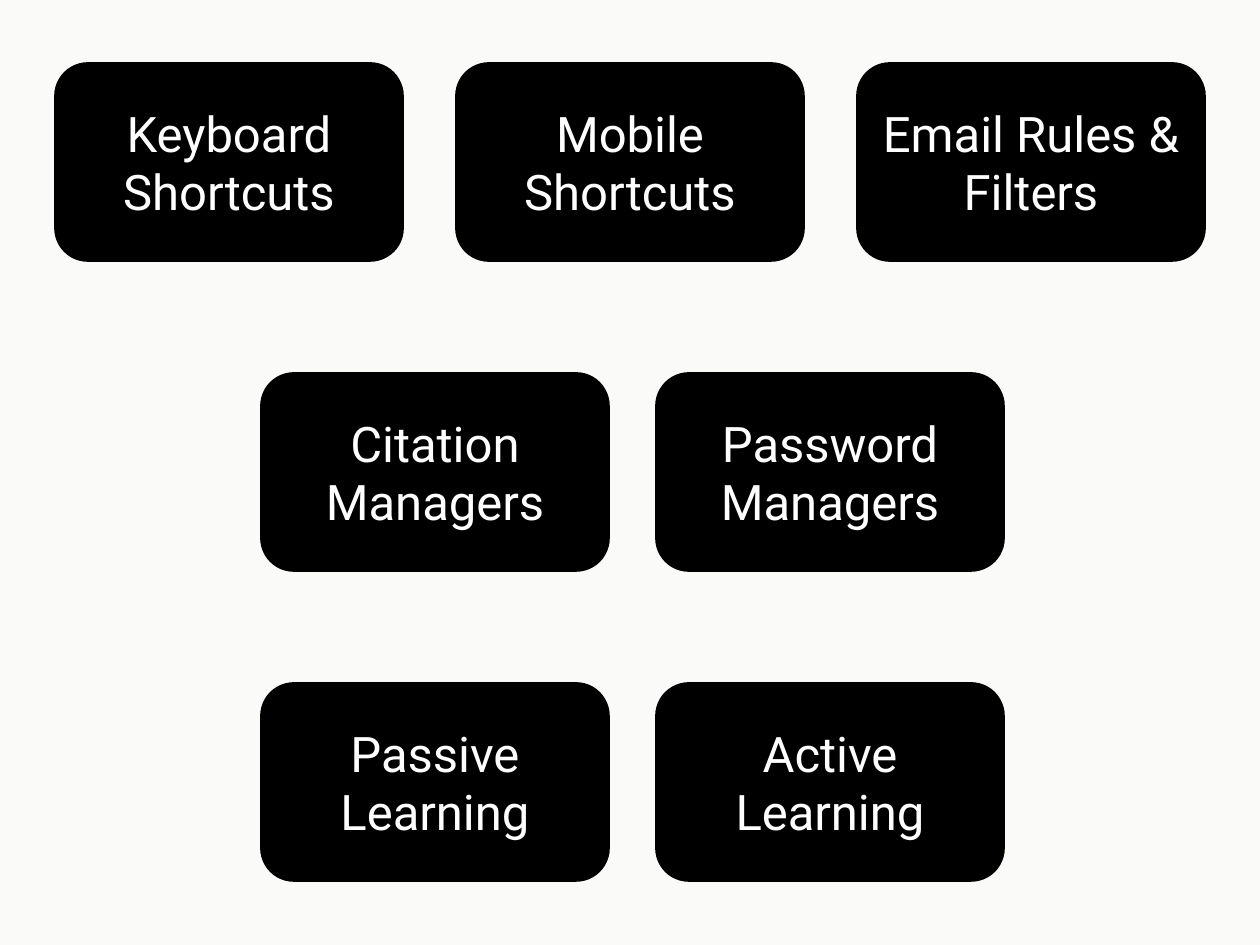
"""Build a slide of seven topic cards in three rows."""
from pptx import Presentation
from pptx.dml.color import RGBColor
from pptx.enum import shapes, text
from pptx.util import Pt

PX = 914400 // 126
WIDE, HIGH = 348, 198
TOP, STEP = 63, 310
BLACK, WHITE, PAPER = "000000", "FFFFFF", "FAFAF8"

# left edge, pitch, labels
ROWS = [
    (55, 401, ["Keyboard Shortcuts", "Mobile Shortcuts", "Email Rules & Filters"]),
    (261, 395, ["Citation Managers", "Password Managers"]),
    (261, 395, ["Passive Learning", "Active Learning"]),
]


def paint(fill, tone):
    fill.solid()
    fill.fore_color.rgb = RGBColor.from_string(tone)


def add_card(slide, left, top, label):
    box = (n * PX for n in (left, top, WIDE, HIGH))
    card = slide.shapes.add_shape(shapes.MSO_SHAPE.ROUNDED_RECTANGLE, *box)
    card.shadow.inherit = False
    paint(card.fill, BLACK)
    paint(card.line.fill, BLACK)
    card.line.width = Pt(1)
    frame = card.text_frame
    frame.text = label
    frame.word_wrap = True
    frame.auto_size = text.MSO_AUTO_SIZE.SHAPE_TO_FIT_TEXT
    frame.vertical_anchor = text.MSO_ANCHOR.MIDDLE
    para = frame.paragraphs[0]
    para.alignment = text.PP_ALIGN.CENTER
    font = para.runs[0].font
    font.name, font.size = "Roboto", Pt(28)
    paint(font.fill, WHITE)


def main():
    deck = Presentation()
    deck.slide_width, deck.slide_height = 1260 * PX, 945 * PX
    slide = deck.slides.add_slide(deck.slide_layouts[6])
    paint(slide.background.fill, PAPER)
    for row, (left, pitch, labels) in enumerate(ROWS):
        for col, label in enumerate(labels):
            add_card(slide, left + col * pitch, TOP + row * STEP, label)
    deck.save("out.pptx")


if __name__ == "__main__":
    main()
